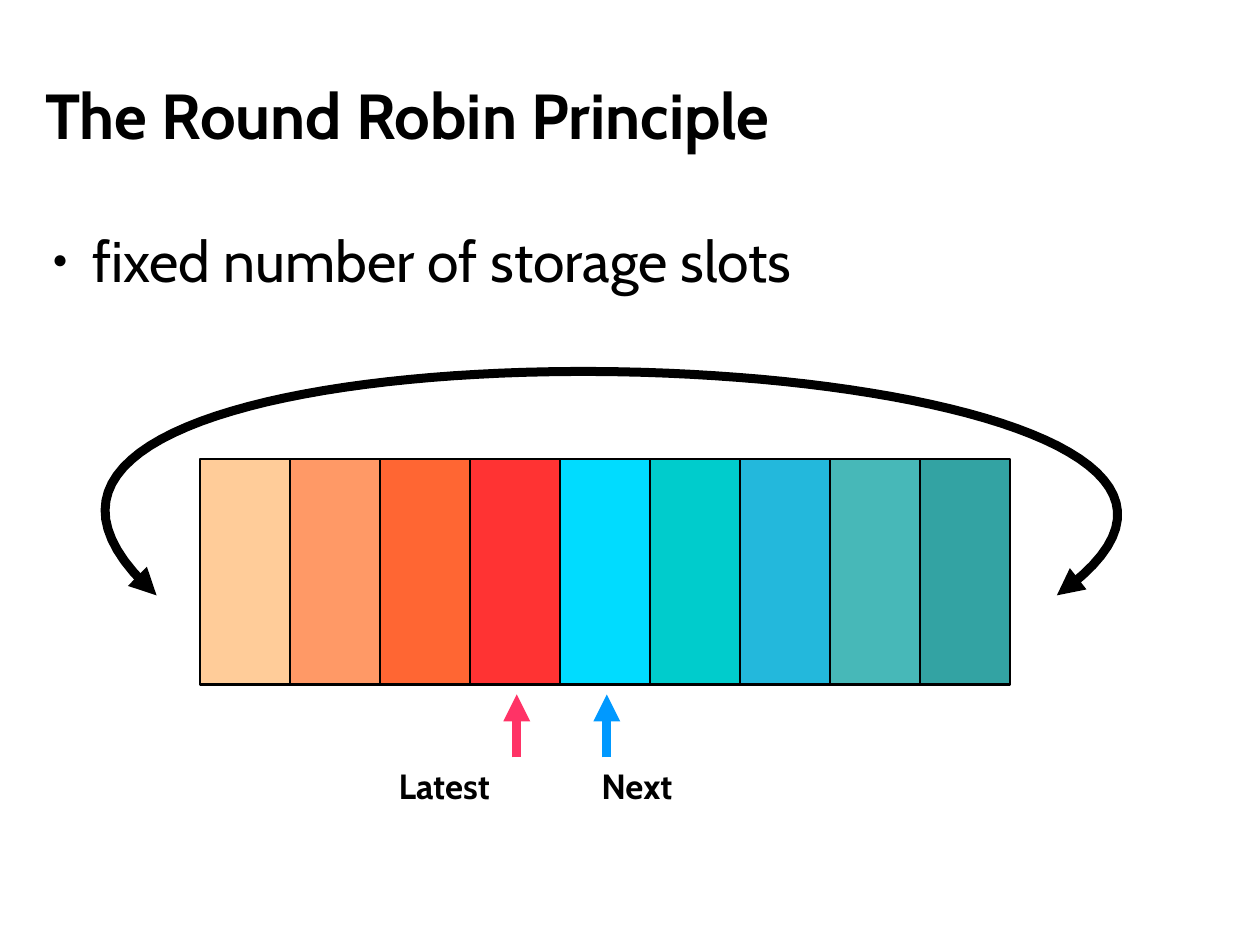
from lxml import etree
from pptx import Presentation, util as u
from pptx.dml.color import RGBColor
from pptx.enum import shapes, text
from pptx.oxml.ns import qn

BLACK = RGBColor(0x00, 0x00, 0x00)
PINK = RGBColor(0xFF, 0x33, 0x66)
BLUE = RGBColor(0x00, 0x99, 0xFF)
SLOT_COLORS = [RGBColor.from_string(c) for c in (
    "FFCC99", "FF9966", "FF6633", "FF3333", "00DCFF",
    "00CCCC", "23B8DC", "47B8B8", "33A3A3")]

# The slide is a grid of 14 columns by 10.5 rows, one cell 2 cm square
CELL = u.Cm(2)
SLOT_LEFT, SLOT_TOP, SLOT_ROWS = 2.22, 5.1, 2.5
ARROW_TOP, LABEL_TOP = 7.71, 8.41


def cells(*lengths):
    return [round(n * CELL) for n in lengths]


def style_arrow(sp, color, ends):
    """Give a line its colour and weight, and triangles at the named ends."""
    sp.line.color.rgb = color
    sp.line.width = u.Pt(5.67)
    for end in ends:
        etree.SubElement(sp.line._get_or_add_ln(), qn(f"a:{end}"), type="triangle")


prs = Presentation()
prs.slide_width = u.Inches(11.02)
prs.slide_height = u.Inches(8.27)
s = prs.slides.add_slide(prs.slide_layouts[1])
title, body = s.placeholders

# Title, list and labels: shape, words, size, bold, box and insets
latest, following = (s.shapes.add_textbox(0, 0, CELL, CELL) for _ in range(2))
texts = [
    (title, "The Round Robin Principle", 40, True, (0.5, 0.63, 13.1, 1.27), (0, 0)),
    (body, "fixed number of storage slots", 36, False, (0.43, 2.5, 12.87, 6.8), (0, 0)),
    (latest, "Latest", 22, True, (4.29, LABEL_TOP, 1.65, 0.6), (0.11, 0.06)),
    (following, "Next", 22, True, (6.54, LABEL_TOP, 1.3, 0.6), (0.11, 0.06)),
]
for sp, words, size, bold, box, (inset_x, inset_y) in texts:
    sp.left, sp.top, sp.width, sp.height = cells(*box)
    tf = sp.text_frame
    frame_format = {
        "word_wrap": True,
        "auto_size": text.MSO_AUTO_SIZE.NONE,
        "vertical_anchor": text.MSO_ANCHOR.MIDDLE if sp is title else text.MSO_ANCHOR.TOP,
        "margin_left": u.Inches(inset_x), "margin_right": u.Inches(inset_x),
        "margin_top": u.Inches(inset_y), "margin_bottom": u.Inches(inset_y),
    }
    for name, value in frame_format.items():
        setattr(tf, name, value)
    p = tf.paragraphs[0]
    p.alignment = text.PP_ALIGN.LEFT
    p.space_before = u.Pt(0)
    r = p.add_run()
    r.text = words
    for name, value in {"name": "Cabin", "size": u.Pt(size), "bold": bold}.items():
        setattr(r.font, name, value)
    r.font.color.rgb = BLACK

p = body.text_frame.paragraphs[0]
p.space_after = u.Pt(14.2)
pPr = p._p.get_or_add_pPr()
pPr.set("marL", str(u.Inches(0.47)))
pPr.set("indent", str(u.Inches(-0.35)))
etree.SubElement(pPr, qn("a:buSzPct"), val="45000")
etree.SubElement(pPr, qn("a:buChar"), char="●")

# Storage slots, drawn from right to left
for i, color in reversed(list(enumerate(SLOT_COLORS))):
    slot = s.shapes.add_shape(shapes.MSO_SHAPE.RECTANGLE,
                              *cells(SLOT_LEFT + i, SLOT_TOP, 1, SLOT_ROWS))
    slot.shadow.inherit = False
    slot.fill.solid()
    slot.fill.fore_color.rgb = color
    slot.line.color.rgb = BLACK
    slot.line.width = u.Pt(1.42)

# Pointers below the middle of the latest and the next slot
for i, color in ((3, PINK), (4, BLUE)):
    x = SLOT_LEFT + i + 0.52
    pointer = s.shapes.add_connector(shapes.MSO_CONNECTOR.STRAIGHT,
                                     *cells(x, LABEL_TOP, x, ARROW_TOP))
    style_arrow(pointer, color, ["tailEnd"])
    etree.SubElement(pointer._element.spPr, qn("a:effectLst"))

# Wrap-around arrow: a cubic curve traced in short steps
CONTROLS = [(1.74, 6.61), (-2.25, 3.05), (16.1, 3.55), (11.74, 6.61)]
STEPS = 80
curve = []
for n in range(STEPS + 1):
    t = n / STEPS
    weights = ((1 - t) ** 3, 3 * t * (1 - t) ** 2, 3 * t ** 2 * (1 - t), t ** 3)
    curve.append(cells(*(sum(w * c[axis] for w, c in zip(weights, CONTROLS))
                         for axis in (0, 1))))
builder = s.shapes.build_freeform(*curve[0])
builder.add_line_segments(curve[1:], close=False)
loop = builder.convert_to_shape()
loop.shadow.inherit = False
loop.fill.background()
style_arrow(loop, BLACK, ["headEnd", "tailEnd"])

prs.save("out.pptx")
